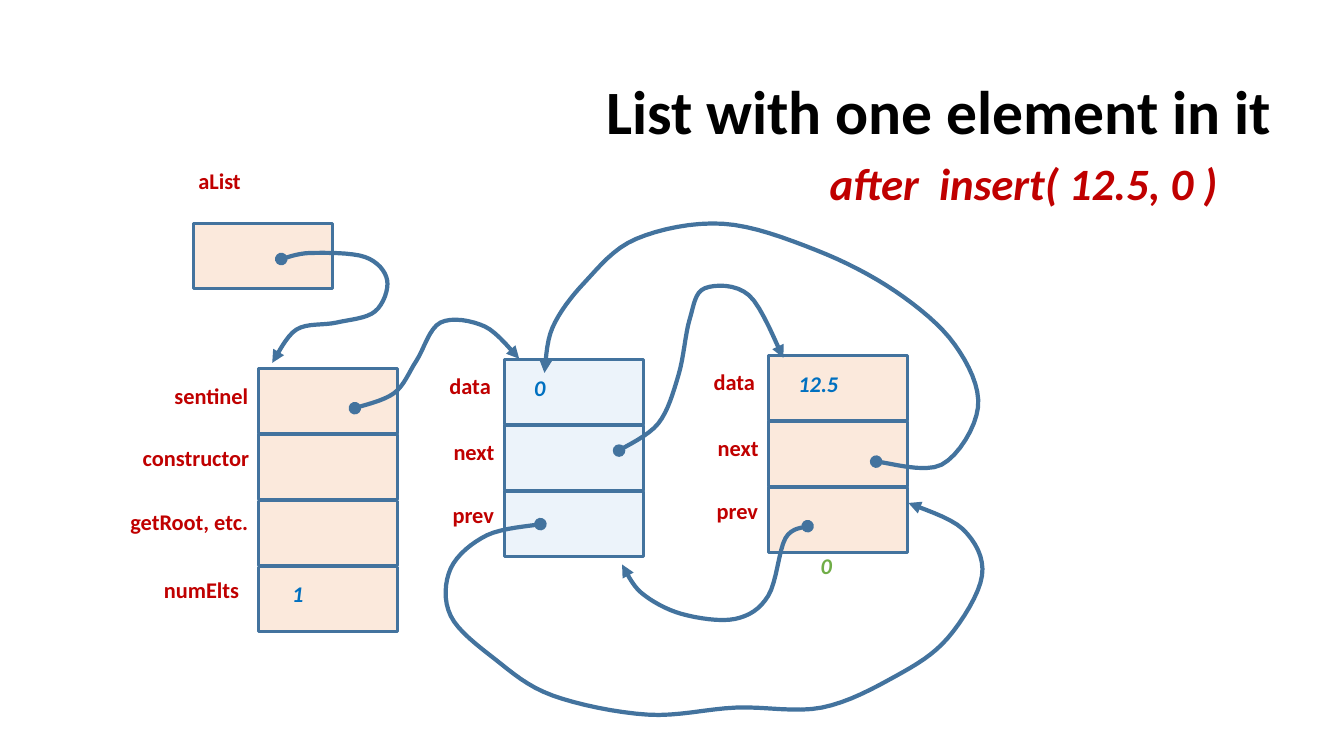
from lxml import etree
from pptx import Presentation
from pptx import util as u
from pptx.dml.color import RGBColor
from pptx.enum import shapes, text
from pptx.oxml.ns import qn

COLORS = {
    "title": "000000", "label": "C00000", "value": "0070C0", "index": "70AD47",
    "line": "43739E", "orange": "F4B183", "blue": "BDD7EE",
}
CELL_W, CELL_H, PITCH, LABEL_H = 1.38, 0.64, 0.655, 0.47
RIGHT = text.PP_ALIGN.RIGHT

SENTINEL_LABELS = [
    ("sentinel", 2.56, 3.74), ("constructor", 2.57, 4.36),
    ("getRoot, etc.", 2.56, 4.99), ("numElts", 2.47, 5.67),
]
NODE_LABELS = [("data", -0.64, 0.07), ("next", -0.6, 0.73), ("prev", -0.61, 1.35)]

POINTERS = {
    "list to sentinel": [
        (2.79, 2.57), (3.08, 2.51), (3.62, 2.55), (3.84, 2.78),
        (3.72, 3.09), (3.34, 3.2), (2.94, 3.27), (2.7, 3.6),
    ],
    "sentinel to head": [
        (3.52, 4.05), (3.91, 3.9), (4.13, 3.58), (4.37, 3.2), (4.81, 3.24), (5.15, 3.56),
    ],
    "head next": [
        (6.14, 4.47), (6.53, 4.2), (6.73, 3.72), (6.84, 3.17),
        (6.99, 2.86), (7.43, 2.93), (7.77, 3.55),
    ],
    "head prev": [
        (5.36, 5.2), (4.83, 5.31), (4.47, 5.64), (4.47, 6.11), (4.91, 6.54),
        (5.48, 6.9), (6.42, 7.09), (7.3, 7.02), (8.15, 7.02), (8.88, 6.71),
        (9.4, 6.33), (9.74, 5.71), (9.55, 5.25), (9.01, 4.99),
    ],
    "tail prev": [
        (8.01, 5.22), (7.79, 5.34), (7.62, 5.91), (7.29, 6.14),
        (6.76, 6.09), (6.36, 5.88), (6.17, 5.6),
    ],
    "tail next": [
        (8.69, 4.58), (9.34, 4.61), (9.7, 4.04), (9.47, 3.42), (8.88, 2.89),
        (8.09, 2.48), (7.17, 2.22), (6.31, 2.37), (5.8, 2.8), (5.48, 3.25), (5.4, 3.7),
    ],
}


def rgb(name):
    return RGBColor.from_string(COLORS[name])


def write(sp, words, size=16, color="label", italic=False, align=None):
    tf = sp.text_frame
    tf.word_wrap = True
    tf.vertical_anchor = text.MSO_ANCHOR.TOP
    p = tf.paragraphs[0]
    p.alignment = align or text.PP_ALIGN.LEFT
    r = p.add_run()
    r.text = words
    r.font.name, r.font.size = "Calibri", u.Pt(size)
    r.font.bold, r.font.italic = True, italic
    r.font.color.rgb = rgb(color)


def add_label(s, words, left, top, width=0.67, height=LABEL_H, **style):
    sp = s.shapes.add_textbox(*map(u.Inches, (left, top, width, height)))
    write(sp, words, **style)


def add_title(s, words, *box):
    sp = s.shapes.title
    sp.left, sp.top, sp.width, sp.height = map(u.Inches, box)
    write(sp, words, size=44, color="title", align=RIGHT)


def style_outline(sp, width):
    sp.shadow.inherit = False
    sp.line.color.rgb = rgb("line")
    sp.line.width = u.Pt(width)


def add_cells(s, left, top, count, color="orange"):
    for row in range(count):
        box = (left, top + row * PITCH, CELL_W, CELL_H)
        sp = s.shapes.add_shape(shapes.MSO_SHAPE.RECTANGLE, *map(u.Inches, box))
        style_outline(sp, 2)
        sp.fill.solid()
        sp.fill.fore_color.rgb = rgb(color)
        fill = sp.element.spPr.find(qn("a:solidFill"))
        etree.SubElement(fill[0], qn("a:alpha"), val="28000")


def add_node(s, left, top, value, color):
    add_cells(s, left, top, 3, color)
    add_label(s, value, left + 0.2, top + 0.09, 0.79, color="value", italic=True)
    for words, dx, dy in NODE_LABELS:
        add_label(s, words, left + dx, top + dy)


def smooth_path(points, steps=8):
    """Return a Catmull-Rom curve through the points, sampled evenly per span."""
    padded = [points[0], *points, points[-1]]
    path = [points[0]]
    for a, b, c, d in zip(padded, padded[1:], padded[2:], padded[3:]):
        for step in range(1, steps + 1):
            t = step / steps
            path.append(tuple(
                b[i] + t * (c[i] - a[i]) / 2
                + t**2 * (2 * a[i] - 5 * b[i] + 4 * c[i] - d[i]) / 2
                + t**3 * (3 * b[i] - a[i] - 3 * c[i] + d[i]) / 2
                for i in (0, 1)))
    return path


def add_pointer(s, points):
    path = [(u.Inches(x), u.Inches(y)) for x, y in smooth_path(points)]
    builder = s.shapes.build_freeform(*path[0])
    builder.add_line_segments(path[1:], close=False)
    sp = builder.convert_to_shape()
    style_outline(sp, 3)
    sp.fill.background()
    ln = sp.element.spPr.find(qn("a:ln"))
    etree.SubElement(ln, qn("a:round"))
    etree.SubElement(ln, qn("a:headEnd"), type="oval")
    etree.SubElement(ln, qn("a:tailEnd"), type="triangle")


def main():
    prs = Presentation()
    prs.slide_width, prs.slide_height = u.Inches(13.33), u.Inches(7.5)
    s = prs.slides.add_slide(prs.slide_layouts[5])
    add_title(s, "List with one element in it", 5.71, 0.67, 7.01, 0.84)
    add_label(s, "after  insert( 12.5, 0 )", 8.13, 1.5, 4.77, 0.64, size=32, italic=True)
    add_cells(s, 2.56, 3.66, 4)
    add_cells(s, 1.92, 2.22, 1)
    add_label(s, "aList", 1.87, 1.61)
    for words, right, top in SENTINEL_LABELS:
        add_label(s, words, right - 1.54, top, 1.54, align=RIGHT)
    add_node(s, 5, 3.57, "0", "blue")
    add_node(s, 7.62, 3.53, "12.5", "orange")
    for points in POINTERS.values():
        add_pointer(s, points)
    add_label(s, "1", 2.8, 5.71, 0.79, 0.39, color="value", italic=True)
    add_label(s, "0", 8.04, 5.43, 0.49, color="index", italic=True)
    prs.save("out.pptx")


if __name__ == "__main__":
    main()
